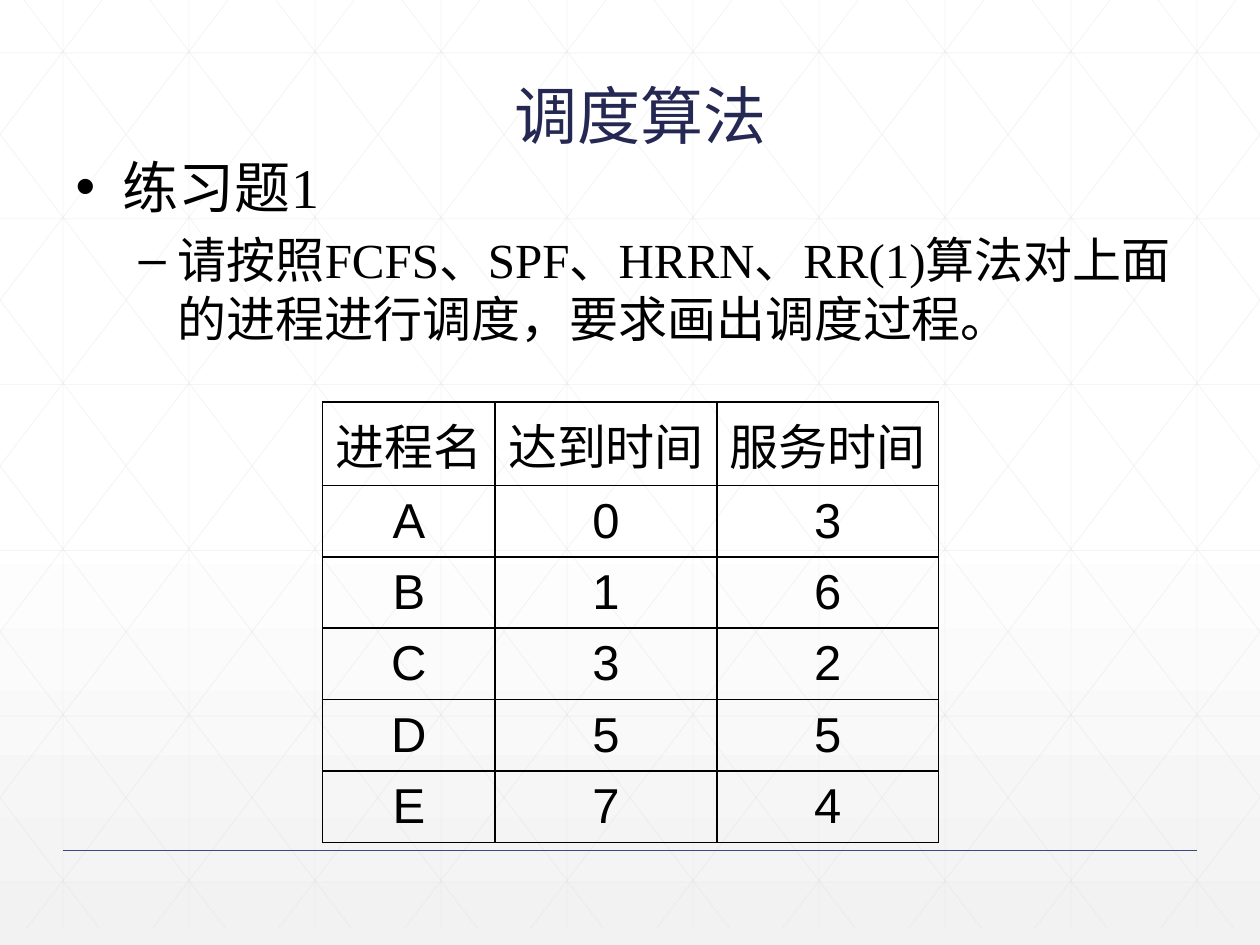
from copy import deepcopy
from dataclasses import dataclass
from typing import Any

from lxml.etree import SubElement
from pptx import Presentation
from pptx.dml.color import RGBColor
from pptx.enum.shapes import MSO_CONNECTOR as Connector
from pptx.enum.text import MSO_ANCHOR as Anchor, MSO_AUTO_SIZE as AutoSize, PP_ALIGN as Align
from pptx.oxml.ns import qn
from pptx.util import Inches, Pt

WIDTH, HEIGHT = 10, 7.5


def color(value):
    """Turn a hex string into a colour."""
    return RGBColor.from_string(value)


def write(para, text, font="Arial", size=28, ink="000000", align=None):
    """Add a formatted span of text to a paragraph."""
    span = para.add_run()
    span.text = text
    span.font.name, span.font.size = font, Pt(size)
    span.font.color.rgb = color(ink)
    if align is not None:
        para.alignment = align


@dataclass
class SlideBuilder:
    """Hold the style and the current slide."""
    page: Any
    ink: str = "000000"
    accent: str = "384C81"
    heading: str = "242852"
    grid: str = "D9D9D9"
    serif: str = "Times New Roman"

    def background(self, stops):
        """Fill the page with a downward gradient."""
        fill = self.page.background.fill
        fill.gradient()
        fill.gradient_angle = 270
        stop_list = next(self.page.element.iter(qn("a:gsLst")))
        stop_list.insert(1, deepcopy(stop_list[0]))
        for stop, (position, value) in zip(fill.gradient_stops, stops):
            stop.position = position
            stop.color.rgb = color(value)

    def line(self, shapes, start, end, ink, width, opacity=100):
        """Draw a straight line without a shadow."""
        points = [Inches(value) for value in (*start, *end)]
        line = shapes.add_connector(Connector.STRAIGHT, *points)
        line.line.color.rgb = color(ink)
        line.line.width = Pt(width)
        properties = line._element.spPr
        if opacity < 100:
            SubElement(next(properties.iter(qn("a:srgbClr"))), qn("a:alpha"), val=str(opacity * 1000))
        SubElement(properties, qn("a:effectLst"))

    def lattice(self, bottom=7.37, run=5.6, row_gap=1.316):
        """Draw the faint triangular grid."""
        shapes = self.page.shapes.add_group_shape().shapes
        segments = [((x + 0.5, 0), (x + 0.5, bottom)) for x in range(WIDTH)]
        segments += [((0, 0.42 + row * row_gap), (WIDTH, 0.42 + row * row_gap)) for row in range(6)]
        slope = bottom / run
        for step in range(-5, WIDTH):
            origin = step + 0.19
            left, right = max(origin, 0), min(origin + run, WIDTH)
            top, low = (left - origin) * slope, (right - origin) * slope
            segments.append(((left, top), (right, low)))
            segments.append(((WIDTH - left, top), (WIDTH - right, low)))
        for start, end in segments:
            self.line(shapes, start, end, self.grid, 0.5, opacity=25)

    def placeholder(self, index, left, top, width, height, anchor):
        """Place a template placeholder in front and return its text frame."""
        box = self.page.placeholders[index]
        box.left, box.top, box.width, box.height = map(Inches, (left, top, width, height))
        self.page.shapes._spTree.append(box._element)
        frame = box.text_frame
        frame.word_wrap, frame.auto_size = True, AutoSize.NONE
        frame.vertical_anchor = anchor
        return frame

    def title(self, text, *place):
        """Write the centred title."""
        frame = self.placeholder(0, *place, Anchor.MIDDLE)
        write(frame.paragraphs[0], text, size=36, ink=self.heading, align=Align.CENTER)

    def body(self, items, *place):
        """Write the bullet list from level and text pairs."""
        frame = self.placeholder(1, *place, Anchor.TOP)
        for number, (level, text) in enumerate(items):
            para = frame.add_paragraph() if number else frame.paragraphs[0]
            para.level = level
            if number == 0:
                para.space_before = Pt(0)
            write(para, text, font=self.serif, size=32 - 4 * level, ink=self.ink)

    def cell_borders(self, cell):
        """Draw a thin border on the four sides of a cell."""
        properties = cell._tc.get_or_add_tcPr()
        for place, side in enumerate(("lnL", "lnR", "lnT", "lnB")):
            border = SubElement(properties, qn(f"a:{side}"), w=str(Pt(1)))
            SubElement(SubElement(border, qn("a:solidFill")), qn("a:srgbClr"), val=self.ink)
            properties.insert(place, border)

    def table(self, rows, widths, left, top, height):
        """Add a bordered table of centred text."""
        frame = self.page.shapes.add_table(
            len(rows), len(widths), Inches(left), Inches(top), Inches(sum(widths)), Inches(height))
        table = frame.table
        table.first_row = table.horz_banding = False
        for column, width in zip(table.columns, widths):
            column.width = Inches(width)
        for row, texts in zip(table.rows, rows):
            for cell, text in zip(row.cells, texts):
                cell.vertical_anchor = Anchor.MIDDLE
                cell.fill.background()
                self.cell_borders(cell)
                write(cell.text_frame.paragraphs[0], text, ink=self.ink, align=Align.CENTER)


def main():
    """Build the scheduling exercise slide."""
    deck = Presentation()
    deck.slide_width, deck.slide_height = Inches(WIDTH), Inches(HEIGHT)
    slide = SlideBuilder(deck.slides.add_slide(deck.slide_layouts[1]))
    slide.background([(0, "FFFFFF"), (0.53, "FFFFFF"), (1, "F2F2F2")])
    slide.lattice()
    slide.line(slide.page.shapes, (0.5, 6.75), (9.5, 6.75), slide.accent, 1)
    slide.title("调度算法", 0.83, 0.28, 8.5, 1.25)
    slide.body([
        (0, "练习题1"),
        (1, "请按照FCFS、SPF、HRRN、RR(1)算法对上面的进程进行调度，要求画出调度过程。"),
    ], 0.5, 1.16, 8.99, 5.74)
    processes = ["A03", "B16", "C32", "D55", "E74"]
    slide.table([("进程名", "达到时间", "服务时间"), *processes], (1.37, 1.76, 1.76), 2.56, 3.19, 3.4)
    deck.save("out.pptx")


if __name__ == "__main__":
    main()
